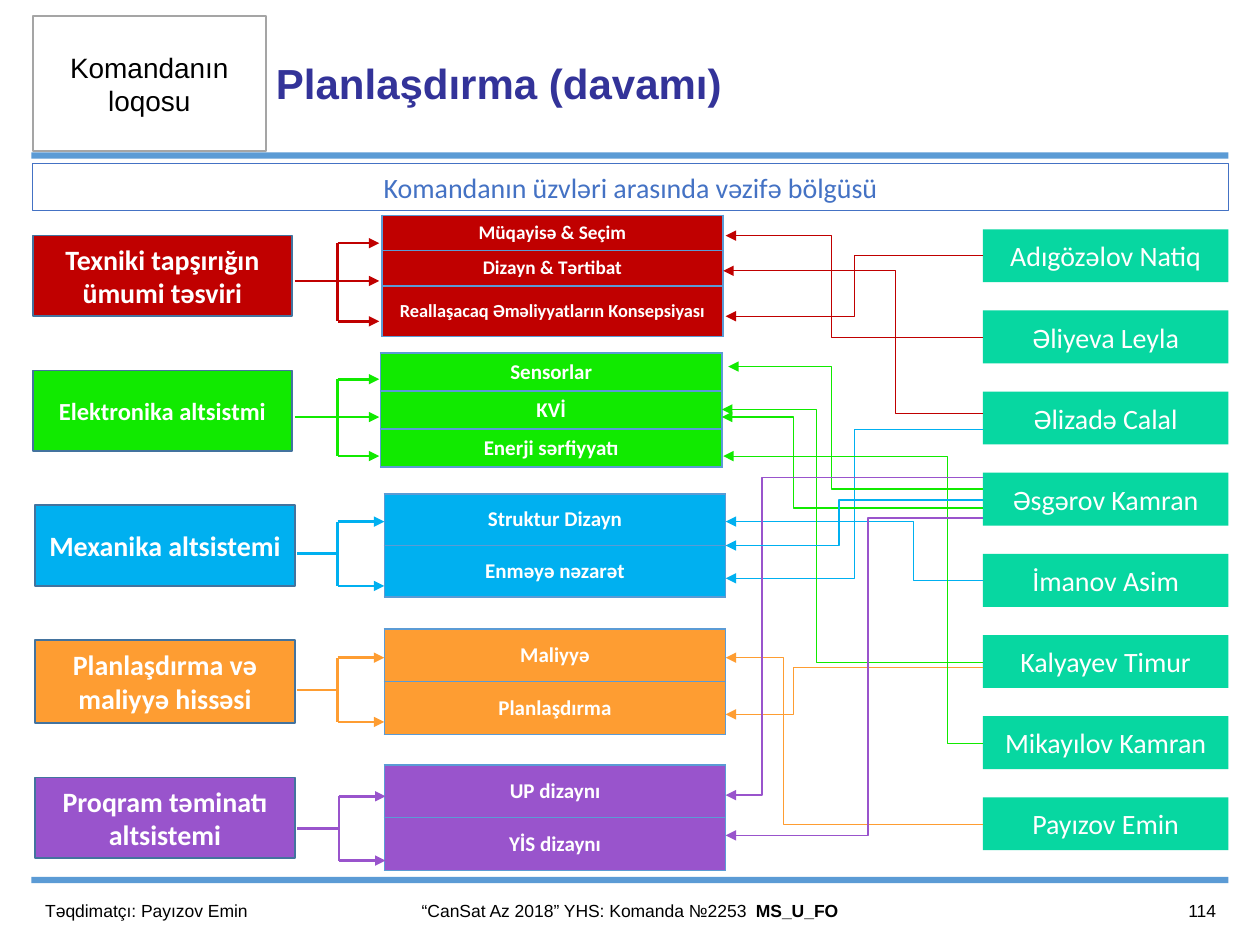
from dataclasses import dataclass
from typing import NamedTuple

from pptx import Presentation
from pptx.dml.color import RGBColor
from pptx.enum.shapes import MSO_CONNECTOR as Conn, MSO_SHAPE as Shape
from pptx.enum.text import MSO_ANCHOR as Anchor, MSO_AUTO_SIZE as AutoSize, PP_ALIGN as Align
from pptx.oxml.ns import qn
from pptx.util import Emu, Inches, Pt
from lxml.etree import SubElement

RED = RGBColor(0xC0, 0x00, 0x00)
GREEN = RGBColor(0x11, 0xEA, 0x00)
CYAN = RGBColor(0x00, 0xB0, 0xF0)
ORANGE = RGBColor(0xFE, 0x9D, 0x32)
PURPLE = RGBColor(0x99, 0x54, 0xCC)
TEAL = RGBColor(0x07, 0xD7, 0xA1)
BLUE = RGBColor(0x5B, 0x9B, 0xD5)
DARK_BLUE = RGBColor(0x43, 0x73, 0x9E)
HEADING_BLUE = RGBColor(0x44, 0x72, 0xC4)
NAVY = RGBColor(0x33, 0x33, 0x99)
GRAY = RGBColor(0xA5, 0xA5, 0xA5)
WHITE = RGBColor(0xFF, 0xFF, 0xFF)
BLACK = RGBColor(0x00, 0x00, 0x00)

# The slide is a grid of 100 columns by 75 rows; every length counts its cells
SLIDE_W, SLIDE_H = Inches(10), Inches(7.5)
CELL = SLIDE_W // 100
LEFT, RIGHT = 2.6, 97.5
BOX_W, TABLE_W = 20.6, 27.1
PEOPLE_X, PEOPLE_Y, PEOPLE_STEP = 78, 18.2, 6.44


class Rect(NamedTuple):
    x: float
    y: float
    w: float
    h: float


@dataclass
class Row:
    text: str
    height: float
    size: float = 12


@dataclass
class Subsystem:
    name: str
    color: RGBColor
    box: Rect
    table_x: float
    table_y: float
    rows: list[Row]
    trunk_x: float
    tip_x: float
    arrow_ys: list[float]
    size: float = 16


class Link(NamedTuple):
    """Elbow from a person's box at start_y, turning at turn_x, to a task."""
    start_y: float
    turn_x: float
    tip_x: float
    tip_y: float
    color: RGBColor
    width: float = 0.5


SUBSYSTEMS = [
    Subsystem("Texniki tapşırığın ümumi təsviri", RED, Rect(2.6, 18.7, BOX_W, 6.4), 30.3, 17.1,
              [Row("Müqayisə & Seçim", 2.8, 11), Row("Dizayn & Tərtibat", 2.8, 11),
               Row("Reallaşacaq Əməliyyatların Konsepsiyası", 4, 10.5)],
              26.8, 30.1, [19.3, 22.3, 25.5]),
    Subsystem("Elektronika altsistmi", GREEN, Rect(2.6, 29.4, BOX_W, 6.4), 30.2, 28,
              [Row("Sensorlar", 3.03), Row("KVİ", 3.03), Row("Enerji sərfiyyatı", 3.03)],
              26.8, 30.1, [30.1, 33.1, 36.2], 14),
    Subsystem("Mexanika altsistemi", CYAN, Rect(2.8, 40.1, BOX_W, 6.4), 30.5, 39.2,
              [Row("Struktur Dizayn", 4.1), Row("Enməyə nəzarət", 4.1)],
              26.8, 30.5, [41.4, 46.5]),
    Subsystem("Planlaşdırma və maliyyə hissəsi", ORANGE, Rect(2.8, 50.8, BOX_W, 6.6), 30.5, 49.9,
              [Row("Maliyyə", 4.2), Row("Planlaşdırma", 4.2)],
              26.8, 30.5, [52.2, 57.3]),
    Subsystem("Proqram təminatı altsistemi", PURPLE, Rect(2.8, 61.7, BOX_W, 6.4), 30.5, 60.7,
              [Row("UP dizaynı", 4.2), Row("YİS dizaynı", 4.2)],
              26.9, 30.6, [63.2, 68.3]),
]
PEOPLE = ["Adıgözəlov Natiq", "Əliyeva Leyla", "Əlizadə Calal", "Əsgərov Kamran",
          "İmanov Asim", "Kalyayev Timur", "Mikayılov Kamran", "Payızov Emin"]
LINKS = [
    Link(20.3, 67.8, 57.6, 25.1, RED),
    Link(26.8, 66, 57.6, 18.7, RED),
    Link(34.1, 67.8, 57.6, 45.9, CYAN),
    Link(32.8, 71.1, 57.4, 21.5, RED),
    Link(46.1, 72.5, 57.6, 41.4, CYAN),
    Link(52.6, 64.8, 57.3, 32.5, GREEN),
    Link(53, 63, 57.6, 56.7, ORANGE),
    Link(65.4, 62.2, 57.6, 52.2, ORANGE),
    Link(59, 75.2, 57.4, 36.2, GREEN),
    Link(38.8, 66, 57.8, 29.1, GREEN, 1),
    Link(40.3, 63, 57.3, 33.1, GREEN, 1),
    Link(41.1, 68.9, 57.6, 66.3, PURPLE, 1),
    Link(37.9, 60.5, 57.6, 63.1, PURPLE, 1),
    Link(39.7, 66.6, 57.6, 43.3, CYAN, 1),
]


def cells(*lengths: float) -> list[Emu]:
    return [Emu(round(n * CELL)) for n in lengths]


def write(tf, text: str, size: float, color: RGBColor, font="Calibri", bold=False, align=Align.CENTER):
    tf.text = text
    tf.word_wrap = True
    p = tf.paragraphs[0]
    p.alignment = align
    for r in p.runs:
        r.font.name, r.font.size, r.font.bold = font, Pt(size), bold
        r.font.color.rgb = color


def add_box(s, rect: Rect, fill=None, line=None, line_w: float = 1):
    sp = s.shapes.add_shape(Shape.RECTANGLE, *cells(*rect))
    sp.shadow.inherit = False
    sp.text_frame.vertical_anchor = Anchor.MIDDLE
    for part, color in ((sp.fill, fill), (sp.line.fill, line)):
        if color is None:
            part.background()
        else:
            part.solid()
            part.fore_color.rgb = color
    if line is not None:
        sp.line.width = Pt(line_w)
    return sp


def add_label(s, rect: Rect, text: str, align):
    tf = s.shapes.add_textbox(*cells(*rect)).text_frame
    tf.vertical_anchor = Anchor.MIDDLE
    write(tf, text, 10, BLACK, "Arial", align=align)
    return tf


def add_line(s, start, end, color: RGBColor, width: float, arrow=False, kind=Conn.STRAIGHT):
    c = s.shapes.add_connector(kind, *cells(*start, *end))
    c.line.color.rgb, c.line.width = color, Pt(width)
    if arrow:
        SubElement(c.line._get_or_add_ln(), qn("a:tailEnd"), type="triangle")
    SubElement(c._element.spPr, qn("a:effectLst"))
    return c


def add_link(s, link: Link):
    c = add_line(s, (PEOPLE_X, link.start_y), (link.tip_x, link.tip_y), link.color, link.width, True, Conn.ELBOW)
    turn = (PEOPLE_X - link.turn_x) / (PEOPLE_X - link.tip_x)
    guides = c._element.spPr.find(qn("a:prstGeom")).get_or_add_avLst()
    SubElement(guides, qn("a:gd"), name="adj1", fmla=f"val {round(turn * 100000)}")


def add_task_table(s, sub: Subsystem):
    height = sum(row.height for row in sub.rows)
    frame = s.shapes.add_table(len(sub.rows), 1, *cells(sub.table_x, sub.table_y, TABLE_W, height))
    table = frame.table
    table.first_row = table.horz_banding = False
    for i, row in enumerate(sub.rows):
        table.rows[i].height = cells(row.height)[0]
        cell = table.cell(i, 0)
        cell.vertical_anchor = Anchor.MIDDLE
        cell.margin_top = cell.margin_bottom = Inches(0.03)
        write(cell.text_frame, row.text, row.size, WHITE, bold=True)
        # Borders come before the fill in the cell properties
        tc_pr = cell._tc.get_or_add_tcPr()
        for side in ("lnL", "lnR", "lnT", "lnB"):
            ln = SubElement(tc_pr, qn(f"a:{side}"), w=str(Pt(1)))
            SubElement(SubElement(ln, qn("a:solidFill")), qn("a:srgbClr"), val=str(BLUE))
        cell.fill.solid()
        cell.fill.fore_color.rgb = sub.color


def add_bracket(s, sub: Subsystem):
    ys, x = sub.arrow_ys, sub.trunk_x
    middle = ys[1] if len(ys) == 3 else sum(ys) / 2
    add_line(s, (x, ys[0]), (x, ys[-1]), sub.color, 1.5)
    add_line(s, (sub.box.x + BOX_W + 0.2, middle), (x, middle), sub.color, 1.5)
    for y in ys:
        add_line(s, (x, y), (sub.tip_x, y), sub.color, 1.5, True)


def main():
    prs = Presentation()
    prs.slide_width, prs.slide_height = SLIDE_W, SLIDE_H
    s = prs.slides.add_slide(prs.slide_layouts[5])

    # Header: rules, logo frame, title and subtitle
    for y in (12.1, 69.6):
        add_box(s, Rect(2.5, y, 95, 0.5), BLUE)
    logo = add_box(s, Rect(LEFT, 1.3, 18.5, 10.7), WHITE, GRAY)
    write(logo.text_frame, "Komandanın loqosu", 16, BLACK, "Arial")
    title = s.shapes.title
    title.left, title.top, title.width, title.height = cells(21.2, 1.3, 60, 10.6)
    tf = title.text_frame
    write(tf, "Planlaşdırma (davamı)", 24, NAVY, "Arial", True, Align.LEFT)
    tf.auto_size, tf.vertical_anchor = AutoSize.NONE, Anchor.MIDDLE
    tf.margin_left = tf.margin_right = Inches(0.07)
    tf.margin_top = tf.margin_bottom = Inches(0.04)
    subtitle = add_box(s, Rect(LEFT, 13, RIGHT - LEFT, 3.7), None, HEADING_BLUE, 0.75)
    write(subtitle.text_frame, "Komandanın üzvləri arasında vəzifə bölgüsü", 16, HEADING_BLUE)

    # Footer
    add_label(s, Rect(LEFT, 70.3, 23.9, 4), "Təqdimatçı: Payızov Emin", Align.LEFT)
    tf = add_label(s, Rect(26.5, 70.3, 47, 4), "“CanSat Az 2018” YHS: Komanda №2253  ", Align.CENTER)
    r = tf.paragraphs[0].add_run()
    r.text = "MS_U_FO"
    r.font.name, r.font.size, r.font.bold = "Arial", Pt(10), True
    add_label(s, Rect(87.5, 70.3, 10, 4), "114", Align.RIGHT)

    # Subsystems with their tasks
    for sub in SUBSYSTEMS:
        box = add_box(s, sub.box, sub.color, DARK_BLUE)
        write(box.text_frame, sub.name, sub.size, WHITE, bold=True)
        add_task_table(s, sub)
        add_bracket(s, sub)

    # Team members and their duties
    for i, person in enumerate(PEOPLE):
        box = add_box(s, Rect(PEOPLE_X, PEOPLE_Y + i * PEOPLE_STEP, 19.5, 4.2), TEAL)
        write(box.text_frame, person, 16, WHITE)
    for link in LINKS:
        add_link(s, link)

    prs.save("out.pptx")


if __name__ == "__main__":
    main()
